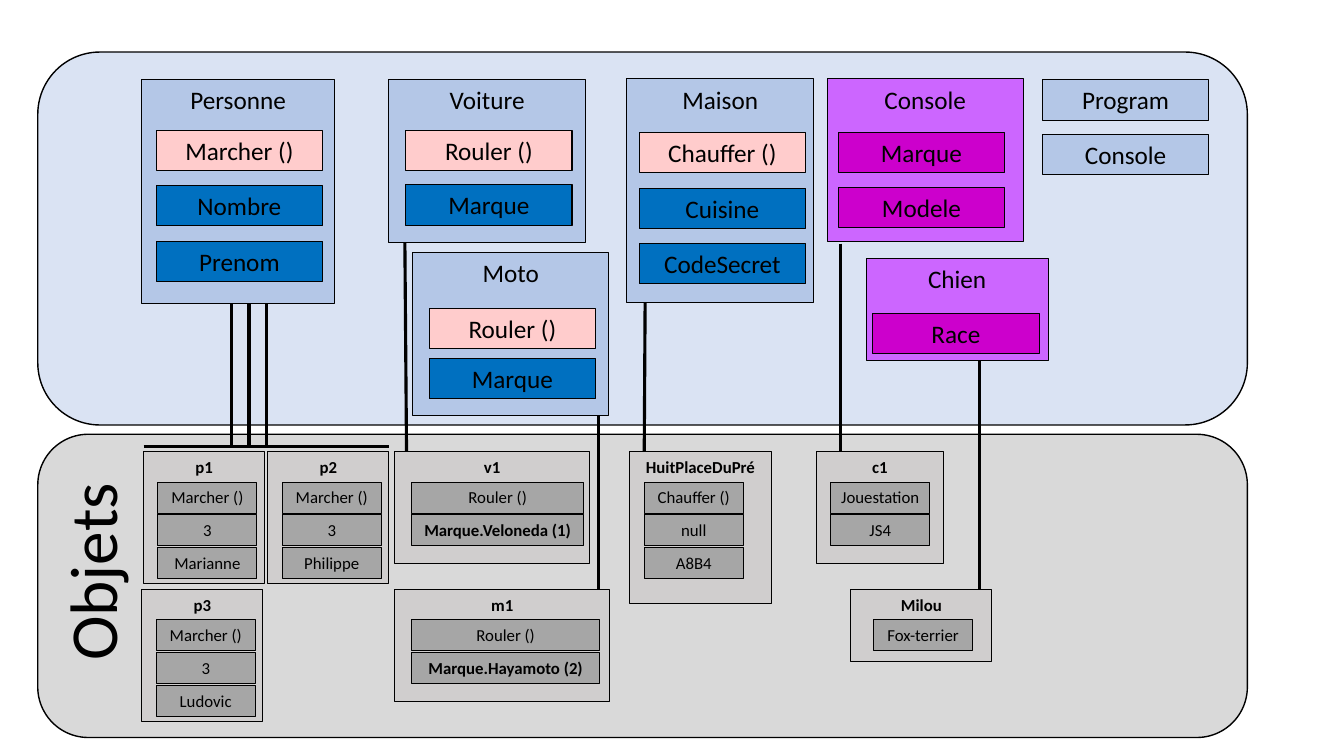
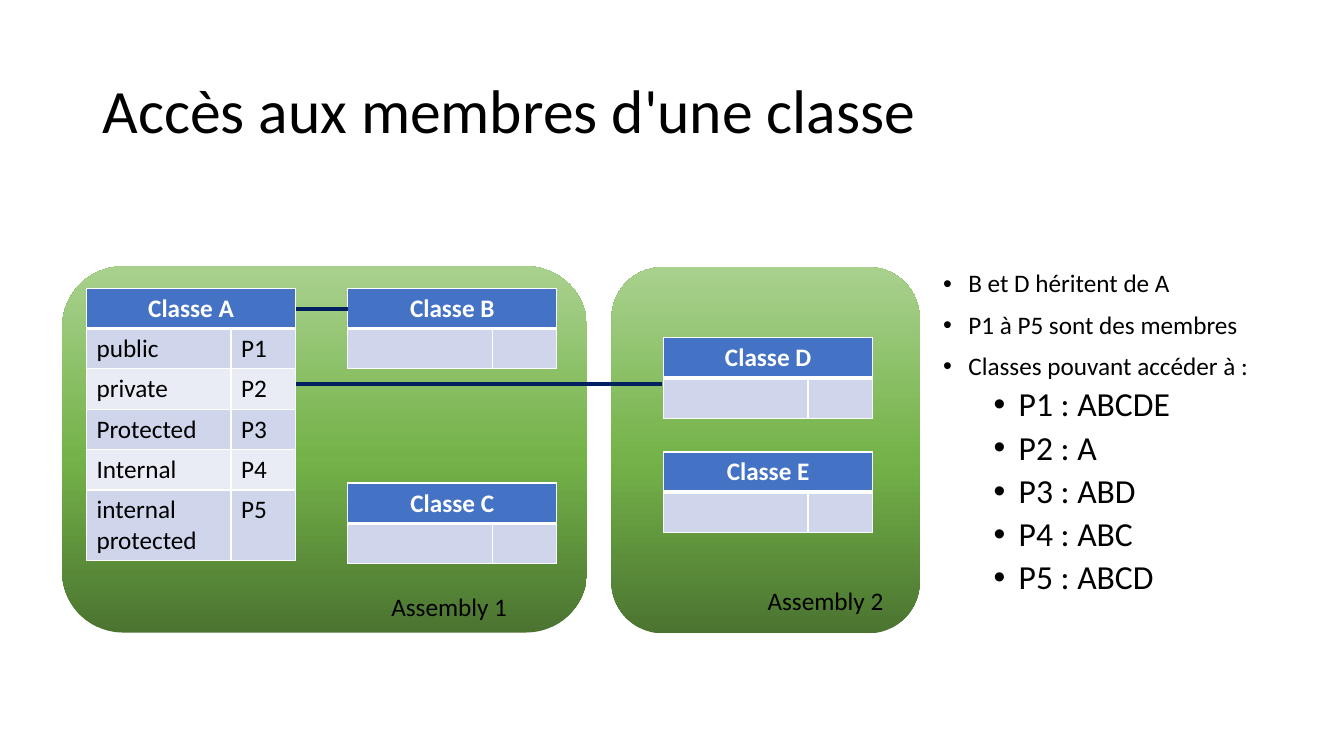
from dataclasses import dataclass

from lxml.etree import SubElement
from pptx import Presentation
from pptx.dml.color import RGBColor
from pptx.enum.shapes import MSO_CONNECTOR, MSO_SHAPE
from pptx.enum.text import MSO_ANCHOR, PP_ALIGN
from pptx.oxml.ns import qn
from pptx.shapes.autoshape import Shape
from pptx.slide import Slide
from pptx.table import _Cell
from pptx.text.text import _Paragraph
from pptx.util import Inches, Length, Pt

COLUMNS, ROWS = 160, 90
CELL = Inches(1 / 12)  # square grid cell


@dataclass(frozen=True)
class Theme:
    font: str = "Calibri"
    ink: str = "000000"
    white: str = "FFFFFF"
    class_panel: str = "DAE3F3"
    object_panel: str = "D9D9D9"
    class_card: str = "B4C7E7"
    method: str = "FFCCCC"
    attribute: str = "0070C0"
    added_card: str = "CC66FF"
    added_attribute: str = "CC00CC"
    object_card: str = "D0CECE"
    object_value: str = "A6A6A6"
    table_header: str = "4472C4"
    table_bands: tuple[str, str] = ("CFD5EA", "E9EBF5")
    inheritance: str = "002060"
    assembly: tuple[tuple[int, str], ...] = ((0, "4B7430"), (48, "74B349"), (100, "A9D18E"))
    title_size: int = 44
    side_size: int = 48
    list_size: int = 24
    body_size: int = 18
    small_size: int = 12


THEME = Theme()


@dataclass(frozen=True)
class Box:
    """A rectangle in grid cells."""
    left: float
    top: float
    width: float
    height: float


@dataclass(frozen=True)
class Member:
    text: str
    fill: str
    bold: bool = False


@dataclass(frozen=True)
class CardStyle:
    fill: str
    size: int
    bold: bool
    member_height: float


@dataclass(frozen=True)
class Card:
    """A titled box with members stacked at equal steps."""
    title: str
    box: Box
    style: CardStyle
    members: tuple[Member, ...]
    indent: float = 1.7
    first: float = 3.6
    step: float = 3.9
    member_width: float = 11.8


@dataclass(frozen=True)
class Link:
    start: tuple[float, float]
    end: tuple[float, float]


@dataclass(frozen=True)
class ClassTable:
    name: str
    left: float
    top: float
    rows: tuple[tuple[str, str], ...] = (("", ""),)


def method(text: str) -> Member:
    return Member(text, THEME.method)


def attribute(text: str) -> Member:
    return Member(text, THEME.attribute)


def added(text: str) -> Member:
    return Member(text, THEME.added_attribute)


def value(text: str, bold: bool = False) -> Member:
    return Member(text, THEME.object_value, bold)


CLASS = CardStyle(THEME.class_card, THEME.body_size, False, 4.8)
ADDED = CardStyle(THEME.added_card, THEME.body_size, False, 4.8)
OBJECT = CardStyle(THEME.object_card, THEME.small_size, True, 3.7)
MEMBER_WIDTH = 19.8
UPPER, LOWER = 53.8, 70.2  # rows of objects
BAR = 53.2

CARDS = (
    Card("Personne", Box(16.9, 9.5, 22.9, 26.6), CLASS,
         (method("Marcher ()"), attribute("Nombre"), attribute("Prenom")),
         1.7, 6, 6.6, MEMBER_WIDTH),
    Card("Voiture", Box(46.3, 9.5, 23.4, 19.4), CLASS,
         (method("Rouler ()"), attribute("Marque")), 2, 6, 6.5, MEMBER_WIDTH),
    Card("Moto", Box(49.1, 30.1, 23.4, 19.4), CLASS,
         (method("Rouler ()"), attribute("Marque")), 2, 6.6, 6, MEMBER_WIDTH),
    Card("Maison", Box(74.6, 9.4, 22.3, 26.6), CLASS,
         (method("Chauffer ()"), attribute("Cuisine"), attribute("CodeSecret")),
         1.5, 6.4, 6.6, MEMBER_WIDTH),
    Card("Console", Box(98.5, 9.4, 23.3, 19.4), ADDED,
         (added("Marque"), added("Modele")), 1.3, 6.4, 6.5, MEMBER_WIDTH),
    Card("Chien", Box(103.1, 30.8, 21.7, 12.1), ADDED,
         (added("Race"),), 0.8, 6.5, 6.5, MEMBER_WIDTH),
    Card("p1", Box(17.1, UPPER, 14.4, 15.7), OBJECT,
         (value("Marcher ()"), value("3"), value("Marianne"))),
    Card("p2", Box(31.9, UPPER, 14.4, 15.7), OBJECT,
         (value("Marcher ()"), value("3"), value("Philippe"))),
    Card("p3", Box(16.9, LOWER, 14.4, 15.7), OBJECT,
         (value("Marcher ()"), value("3"), value("Ludovic"))),
    Card("v1", Box(47, UPPER, 23.2, 13.3), OBJECT,
         (value("Rouler ()"), value("Marque.Veloneda (1)", True)), 2, member_width=20.5),
    Card("m1", Box(47, LOWER, 25.6, 13.3), OBJECT,
         (value("Rouler ()"), value("Marque.Hayamoto (2)", True)), 2, member_width=22.4),
    Card("HuitPlaceDuPré", Box(75, UPPER, 16.8, 18.1), OBJECT,
         (value("Chauffer ()"), value("null"), value("A8B4"))),
    Card("c1", Box(97.2, UPPER, 15.1, 13.3), OBJECT,
         (value("Jouestation"), value("JS4"))),
    Card("Milou", Box(101.3, LOWER, 16.8, 8.5), OBJECT,
         (value("Fox-terrier"),), 2.7),
    Card("Program", Box(124.1, 9.5, MEMBER_WIDTH, 4.8), CLASS, ()),
    Card("Console", Box(124.1, 16, MEMBER_WIDTH, 4.8), CLASS, ()),
)

INSTANCE_LINKS = (
    *(Link((x, 36.2), (x, BAR)) for x in (27.6, 29.65, 31.7)),
    Link((17.1, BAR), (46.3, BAR)),
    Link((48.2, 28.8), (48.4, UPPER)),
    Link((71.3, 49.5), (71.3, LOWER)),
    Link((76.8, 36.1), (76.7, UPPER)),
    Link((100.1, 29), (100.1, UPPER)),
    Link((116.6, 43), (116.6, LOWER)),
)

ASSEMBLIES = (Box(72.8, 31.8, 36.7, 43.6), Box(7.4, 31.7, 62.5, 43.6))
ASSEMBLY_LABELS = (
    ("Assembly 1", Box(45.4, 69.8, 16.3, 4.8)),
    ("Assembly 2", Box(90.2, 69.1, 16.3, 4.8)),
)
CLASS_TABLES = (
    ClassTable("Classe A", 10.3, 34.3, (
        ("public", "P1"), ("private", "P2"), ("Protected", "P3"),
        ("Internal", "P4"), ("internal protected", "P5"))),
    ClassTable("Classe B", 41.4, 34.3),
    ClassTable("Classe C", 41.4, 57.5),
    ClassTable("Classe D", 79, 40.2),
    ClassTable("Classe E", 79, 53.8),
)
TABLE_COLUMNS, TABLE_ROW = (17.2, 7.7), 4.8
INHERITANCE_LINKS = (Link((35.2, 36.8), (41.4, 36.8)), Link((35.3, 45.7), (78.8, 45.7)))
NOTES = ("B et D héritent de A", "P1 à P5 sont des membres", "Classes pouvant accéder à :")
ACCESS = ("P1 : ABCDE", "P2 : A", "P3 : ABD", "P4 : ABC", "P5 : ABCD")


def cells(count: float) -> Length:
    return Length(round(count * CELL))


def place(box: Box) -> tuple[Length, Length, Length, Length]:
    return cells(box.left), cells(box.top), cells(box.width), cells(box.height)


def color(code: str) -> RGBColor:
    return RGBColor.from_string(code)


def add_run(paragraph: _Paragraph, text: str, size: int,
            ink: str = THEME.ink, bold: bool = False) -> None:
    run = paragraph.add_run()
    run.text = text
    run.font.name, run.font.size, run.font.bold = THEME.font, Pt(size), bold
    run.font.color.rgb = color(ink)


def add_panel(slide: Slide, box: Box, fill: str, line: float = 0.75,
              kind: MSO_SHAPE = MSO_SHAPE.RECTANGLE) -> Shape:
    shape = slide.shapes.add_shape(kind, *place(box))
    shape.shadow.inherit = False
    shape.fill.solid()
    shape.fill.fore_color.rgb = color(fill)
    shape.line.color.rgb = color(THEME.ink)
    shape.line.width = Pt(line)
    return shape


def add_box(slide: Slide, box: Box, text: str, fill: str, size: int, bold: bool) -> None:
    frame = add_panel(slide, box, fill).text_frame
    frame.vertical_anchor = MSO_ANCHOR.TOP
    paragraph = frame.paragraphs[0]
    paragraph.alignment = PP_ALIGN.CENTER
    add_run(paragraph, text, size, bold=bold)


def add_card(slide: Slide, card: Card) -> None:
    box, style = card.box, card.style
    add_box(slide, box, card.title, style.fill, style.size, style.bold)
    for index, member in enumerate(card.members):
        member_box = Box(box.left + card.indent, box.top + card.first + index * card.step,
                         card.member_width, style.member_height)
        add_box(slide, member_box, member.text, member.fill, style.size, member.bold)


def add_link(slide: Slide, link: Link, ink: str, width: float) -> None:
    ends = [cells(value) for value in (*link.start, *link.end)]
    connector = slide.shapes.add_connector(MSO_CONNECTOR.STRAIGHT, *ends)
    connector.line.color.rgb = color(ink)
    connector.line.width = Pt(width)
    SubElement(connector._element.spPr, qn("a:effectLst"))


def add_label(slide: Slide, box: Box, text: str, size: int) -> Shape:
    label = slide.shapes.add_textbox(*place(box))
    label.text_frame.word_wrap = False
    add_run(label.text_frame.paragraphs[0], text, size)
    return label


def add_assembly(slide: Slide, box: Box) -> None:
    """Rounded panel, shaded from dark at the bottom to light at the top."""
    shape = slide.shapes.add_shape(MSO_SHAPE.ROUNDED_RECTANGLE, *place(box))
    shape.shadow.inherit = False
    shape.line.fill.background()
    shape.fill.gradient()
    shape.fill.gradient_angle = 90
    stops = shape._element.spPr.find(f".//{qn('a:gsLst')}")
    for stop in list(stops):
        stops.remove(stop)
    for position, code in THEME.assembly:
        stop = SubElement(stops, qn("a:gs"), pos=str(position * 1000))
        SubElement(stop, qn("a:srgbClr"), val=code)


def style_cell(cell: _Cell, fill: str, bottom: int) -> None:
    """Draw white borders (bottom width in points), then the fill."""
    properties = cell._tc.get_or_add_tcPr()
    for side, width in (("L", 1), ("R", 1), ("T", 1), ("B", bottom)):
        line = SubElement(properties, qn(f"a:ln{side}"), w=str(Pt(width)))
        SubElement(SubElement(line, qn("a:solidFill")), qn("a:srgbClr"), val=THEME.white)
    cell.fill.solid()
    cell.fill.fore_color.rgb = color(fill)


def add_class_table(slide: Slide, spec_table: ClassTable) -> None:
    row_count = len(spec_table.rows) + 1
    box = Box(spec_table.left, spec_table.top, sum(TABLE_COLUMNS), TABLE_ROW * row_count)
    table = slide.shapes.add_table(row_count, len(TABLE_COLUMNS), *place(box)).table
    for column, width in zip(table.columns, TABLE_COLUMNS):
        column.width = cells(width)
    for cell in table.rows[0].cells:
        style_cell(cell, THEME.table_header, 3)
    header = table.cell(0, 0)
    header.merge(table.cell(0, len(TABLE_COLUMNS) - 1))
    paragraph = header.text_frame.paragraphs[0]
    paragraph.alignment = PP_ALIGN.CENTER
    add_run(paragraph, spec_table.name, THEME.body_size, THEME.white, True)
    for index, texts in enumerate(spec_table.rows):
        for cell, text in zip(table.rows[index + 1].cells, texts):
            style_cell(cell, THEME.table_bands[index % 2], 1)
            if text:
                add_run(cell.text_frame.paragraphs[0], text, THEME.body_size)


def add_bullets(slide: Slide, box: Box) -> None:
    frame = slide.shapes.add_textbox(*place(box)).text_frame
    frame.word_wrap = True
    items = [(text, 0, THEME.body_size, 10) for text in NOTES]
    items += [(text, 1, THEME.list_size, 5) for text in ACCESS]
    for index, (text, level, size, before) in enumerate(items):
        paragraph = frame.add_paragraph() if index else frame.paragraphs[0]
        properties = paragraph._p.get_or_add_pPr()
        properties.set("marL", str(Inches(0.25 + 0.5 * level)))
        properties.set("indent", str(-Inches(0.25)))
        SubElement(properties, qn("a:buFont"), typeface="Arial")
        SubElement(properties, qn("a:buChar"), char="•")
        paragraph.level = level
        paragraph.line_spacing = 0.9
        if index:
            paragraph.space_before = Pt(before)
        add_run(paragraph, text, size)


def add_title(slide: Slide, box: Box, text: str) -> None:
    title = slide.shapes.title
    title.left, title.top, title.width, title.height = place(box)
    title.text_frame.vertical_anchor = MSO_ANCHOR.MIDDLE
    paragraph = title.text_frame.paragraphs[0]
    paragraph.alignment = PP_ALIGN.LEFT
    paragraph.line_spacing = 0.9
    add_run(paragraph, text, THEME.title_size)


def build_objects_slide(slide: Slide) -> None:
    for box, fill in ((Box(4.5, 6.2, 144, 44.4), THEME.class_panel),
                      (Box(4.5, 51.7, 144, 36.1), THEME.object_panel)):
        add_panel(slide, box, fill, 1, MSO_SHAPE.ROUNDED_RECTANGLE)
    for link in INSTANCE_LINKS:
        add_link(slide, link, THEME.ink, 2.25)
    add_label(slide, Box(-1, 62.5, 23.8, 10.9), "Objets", THEME.side_size).rotation = 270
    for card in CARDS:
        add_card(slide, card)


def build_access_slide(slide: Slide) -> None:
    for box in ASSEMBLIES:
        add_assembly(slide, box)
    add_title(slide, Box(11, 4.8, 138, 17.4), "Accès aux membres d'une classe")
    add_bullets(slide, Box(111.1, 31.7, 46.7, 46.8))
    for class_table in CLASS_TABLES:
        add_class_table(slide, class_table)
    for text, box in ASSEMBLY_LABELS:
        add_label(slide, box, text, THEME.body_size)
    for link in INHERITANCE_LINKS:
        add_link(slide, link, THEME.inheritance, 3)


def main() -> None:
    presentation = Presentation()
    presentation.slide_width, presentation.slide_height = cells(COLUMNS), cells(ROWS)
    title_only, blank = presentation.slide_layouts[5], presentation.slide_layouts[6]
    build_objects_slide(presentation.slides.add_slide(blank))
    build_access_slide(presentation.slides.add_slide(title_only))
    presentation.save("out.pptx")


if __name__ == "__main__":
    main()
